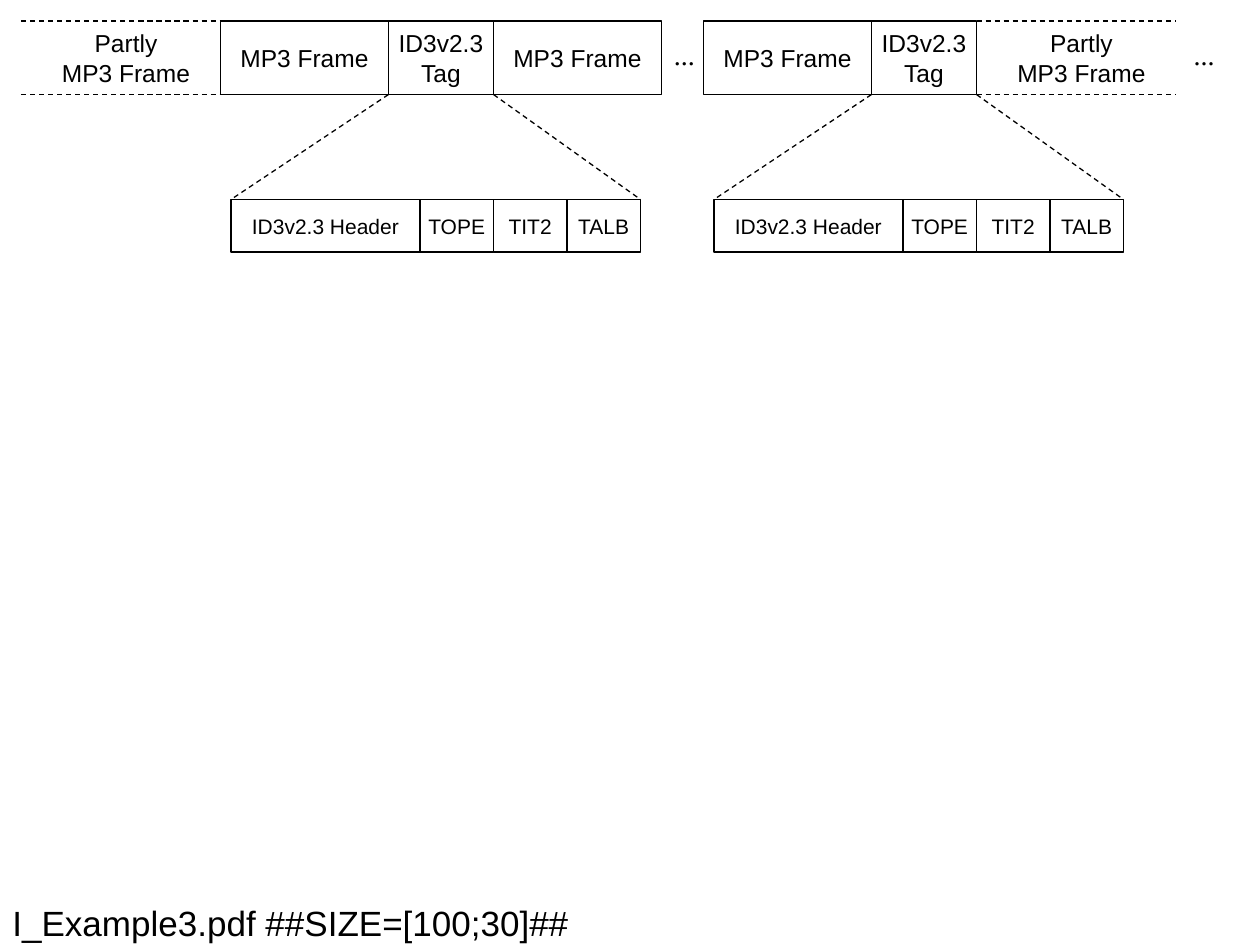
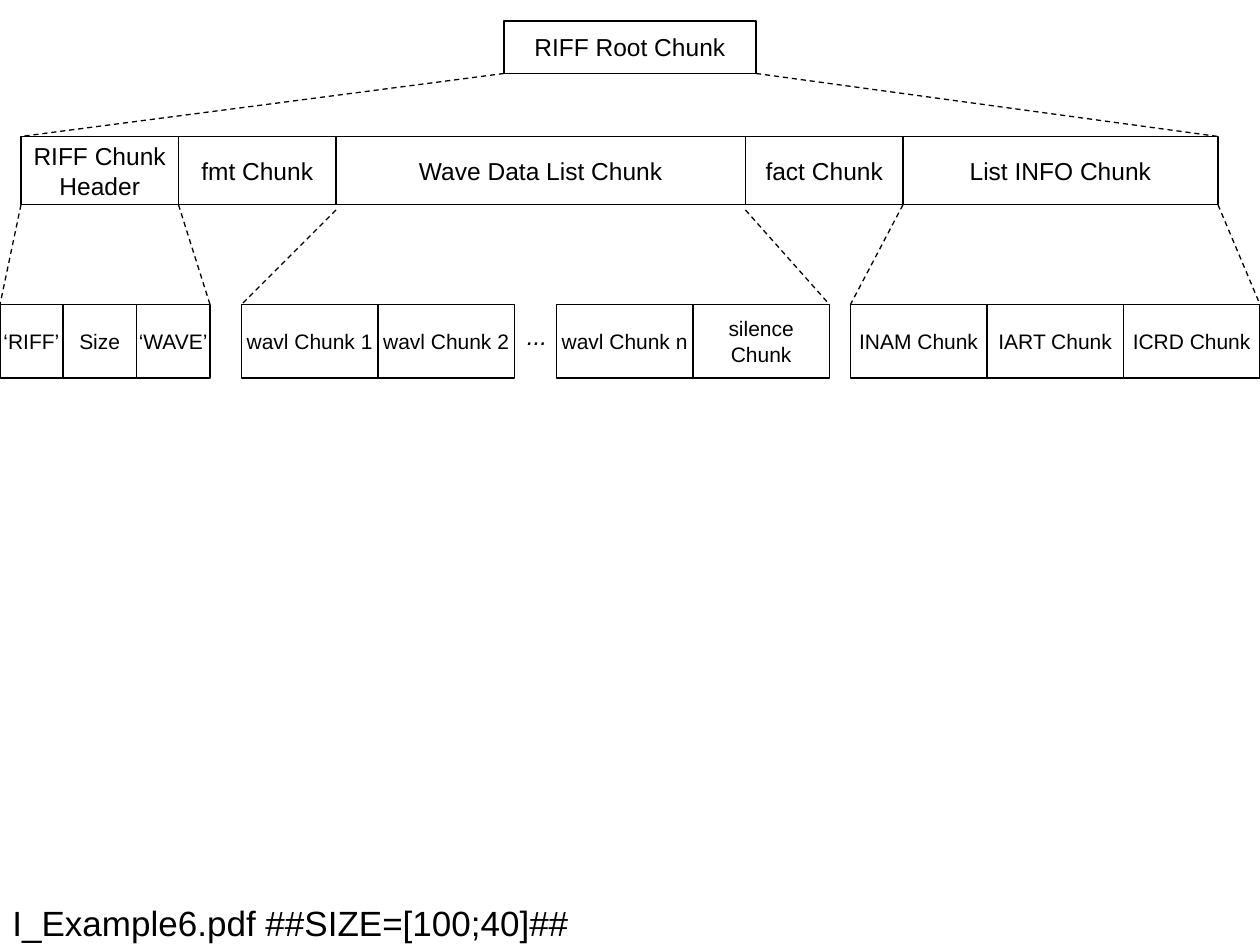
import pptx
import pptx.dml.color
import pptx.enum.dml
import pptx.enum.shapes
import pptx.enum.text
import pptx.oxml.ns
import pptx.util
from lxml import etree

PX = 7620  # EMU per px, 120 px to the inch
BLACK = pptx.dml.color.RGBColor(0, 0, 0)
ALIGN = pptx.enum.text.PP_ALIGN
ANCHOR = pptx.enum.text.MSO_ANCHOR
SHAPE = pptx.enum.shapes.MSO_SHAPE
CONNECTOR = pptx.enum.shapes.MSO_CONNECTOR
DASH = pptx.enum.dml.MSO_LINE.DASH


def emu(*lengths):
    return [pptx.util.Emu(n * PX) for n in lengths]


def write(sp, text, size, align=ALIGN.CENTER, anchor=ANCHOR.MIDDLE, **extra):
    """Fill a shape with unwrapped text; \\v breaks a line, \\n a paragraph."""
    tf = sp.text_frame
    tf.word_wrap = False
    tf.vertical_anchor = anchor
    tf.text = text
    font = {"name": "Arial", "size": pptx.util.Pt(size), **extra}
    for p in tf.paragraphs:
        p.alignment = align
        for r in p.runs:
            r.font.color.rgb = BLACK
            for key, value in font.items():
                setattr(r.font, key, value)


def stroke(line):
    line.color.rgb = BLACK
    line.width = pptx.util.Pt(0.75)


def label(s, x, y, w, h, text, size, **style):
    write(s.shapes.add_textbox(*emu(x, y, w, h)), text, size, **style)


def title(s, text):
    label(s, 0, 859, 1020, 40, text, 20, align=ALIGN.LEFT)


def ellipsis(s, x, y, size, **font):
    # Wide enough to keep the three dots on one line
    label(s, x, y, 46, 44, "...", size, align=ALIGN.LEFT, anchor=ANCHOR.TOP, **font)


def box_row(s, x, y, h, size, cells):
    """Draw adjoining boxes from left to right, given (text, width) pairs."""
    for text, w in cells:
        sp = s.shapes.add_shape(SHAPE.RECTANGLE, *emu(x, y, w, h))
        sp.shadow.inherit = False
        sp.fill.background()
        stroke(sp.line)
        write(sp, text, size)
        x += w


def dashed(s, x1, y1, x2, y2):
    c = s.shapes.add_connector(CONNECTOR.STRAIGHT, *emu(x1, y1, x2, y2))
    stroke(c.line)
    c.line.dash_style = DASH
    etree.SubElement(c.element.spPr, pptx.oxml.ns.qn("a:effectLst"))


def zoom_lines(s, y1, parent, y2, children):
    """Join the left and right ends of a parent to those of its children."""
    for x1, x2 in zip(parent, children):
        dashed(s, x1, y1, x2, y2)


def partial_frame(s, line_x, text_x):
    for y in (20, 90):
        dashed(s, line_x, y, line_x + 190, y)
    label(s, text_x, 30, 160, 50, "Partly\vMP3 Frame", 14)


def mp3_slide(s):
    title(s, "I_Example3.pdf ##SIZE=[100;30]##")

    # Frame stream
    frame, tag = ("MP3 Frame", 160), ("ID3v2.3\vTag", 100)
    partial_frame(s, 20, 40)
    box_row(s, 210, 20, 70, 14, [frame, tag, frame])
    box_row(s, 670, 20, 70, 14, [frame, tag])
    partial_frame(s, 930, 950)
    for x in (630, 1125):
        ellipsis(s, x, 30, 16, name="Times New Roman")

    # Contents of each tag
    fields = [("ID3v2.3 Header", 180), ("TOPE", 70), ("TIT2", 70), ("TALB", 70)]
    for tag_x in (370, 830):
        x = tag_x - 150
        zoom_lines(s, 90, (tag_x, tag_x + 100), 190, (x, x + 390))
        box_row(s, x, 190, 50, 12, fields)


def riff_slide(s):
    title(s, "I_Example6.pdf ##SIZE=[100;40]##")

    # Root and its chunks
    box_row(s, 480, 20, 50, 14, [("RIFF Root Chunk", 240)])
    zoom_lines(s, 70, (480, 720), 130, (20, 1160))
    box_row(s, 20, 130, 65, 14, [
        ("RIFF Chunk\vHeader", 150), ("fmt Chunk", 150),
        ("Wave Data List Chunk", 390), ("fact Chunk", 150),
        ("List INFO Chunk", 300)])

    # Contents of the header, wave list and info list
    zoom_lines(s, 195, (20, 170), 290, (0, 200))
    zoom_lines(s, 200, (320, 710), 290, (230, 790))
    zoom_lines(s, 195, (860, 1160), 290, (810, 1200))
    box_row(s, 0, 290, 70, 12, [("‘RIFF’", 60), ("Size", 70), ("‘WAVE’", 70)])
    for x, names in (
            (230, ("wavl Chunk 1", "wavl Chunk 2")),
            (530, ("wavl Chunk n", "silence\nChunk")),
            (810, ("INAM Chunk", "IART Chunk", "ICRD Chunk"))):
        box_row(s, x, 290, 70, 12, [(name, 130) for name in names])
    ellipsis(s, 490, 300, 14, italic=True)


def main():
    prs = pptx.Presentation()
    prs.slide_width, prs.slide_height = emu(1200, 900)
    for build in (mp3_slide, riff_slide):
        build(prs.slides.add_slide(prs.slide_layouts[6]))
    prs.save("out.pptx")


if __name__ == "__main__":
    main()
